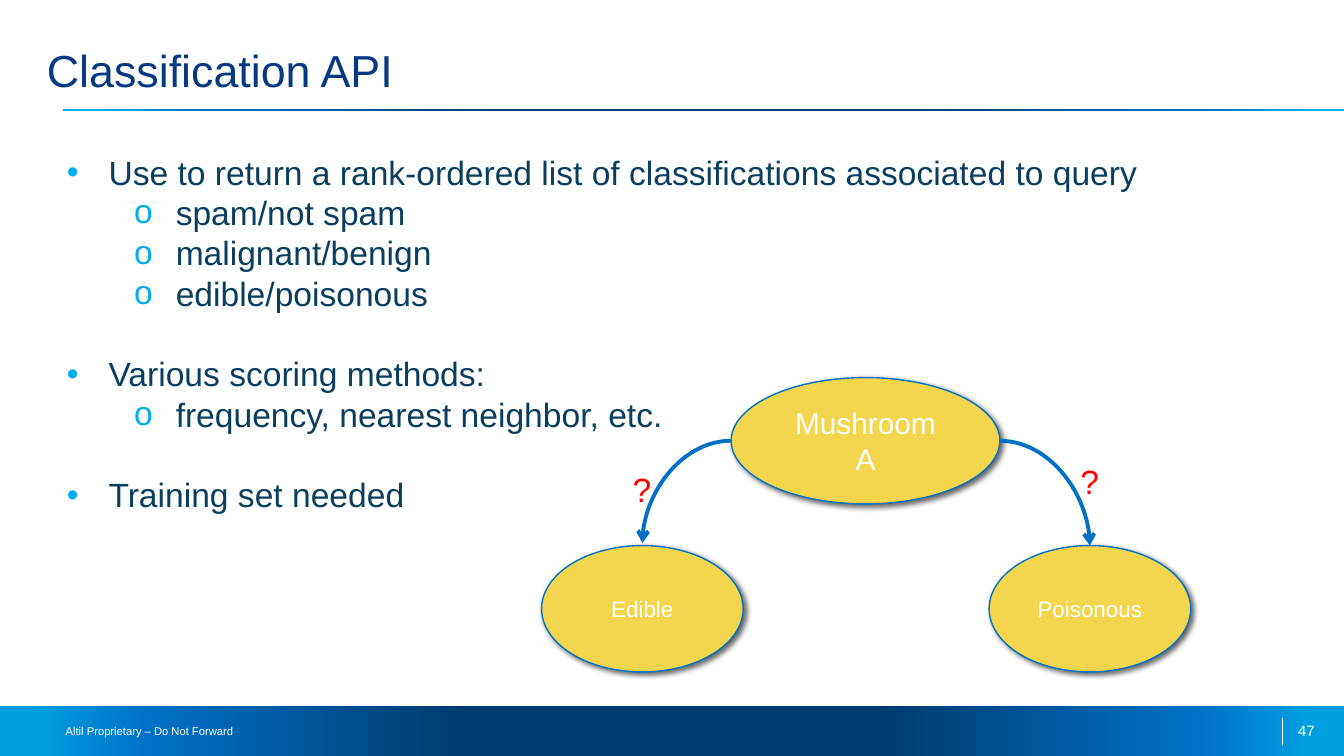
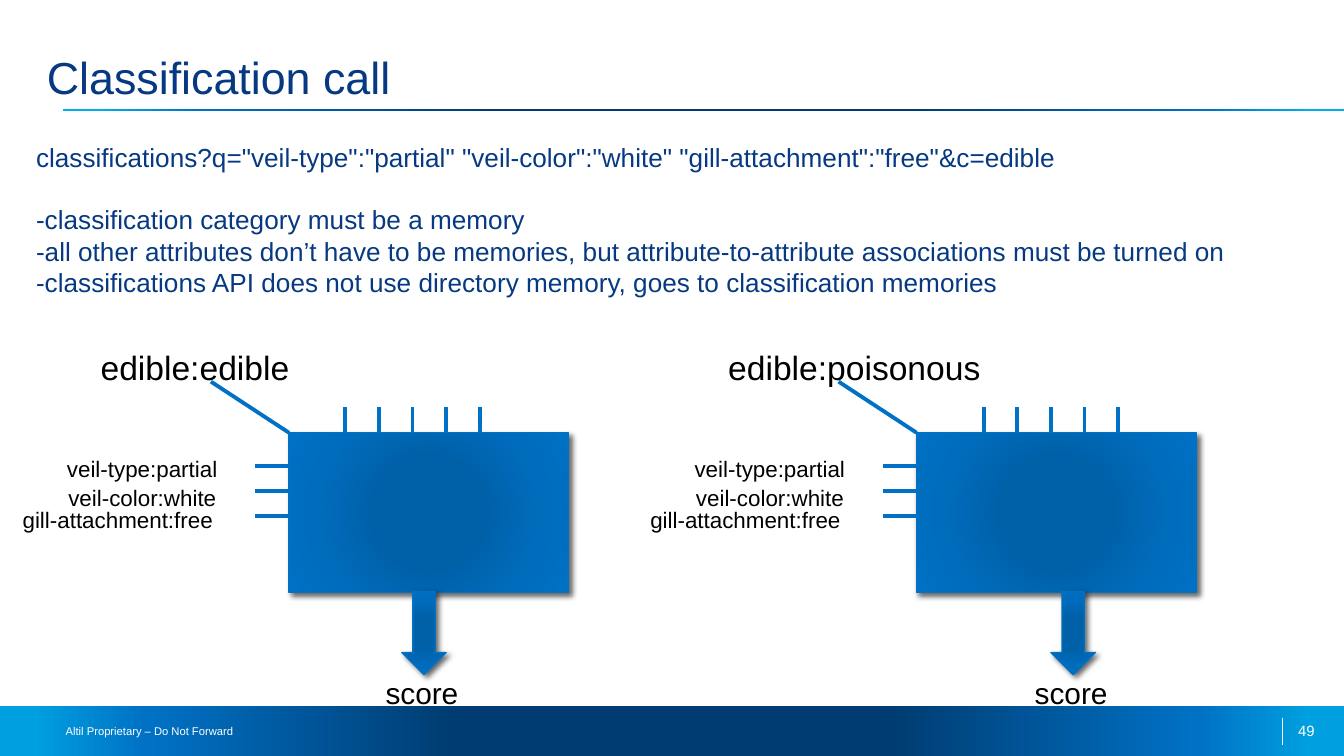
from pptx import Presentation
from pptx.dml.color import RGBColor
from pptx.enum import shapes, text
from pptx.oxml import parse_xml
from pptx.oxml.ns import nsdecls, qn
from pptx.util import Inches, Pt

WHITE = RGBColor(0xFF, 0xFF, 0xFF)
BLACK = RGBColor(0x00, 0x00, 0x00)
RED = RGBColor(0xFF, 0x00, 0x00)
NAVY = RGBColor(0x00, 0x3C, 0x71)
BLUE = RGBColor(0x00, 0x71, 0xC5)
SKY = RGBColor(0x00, 0x9F, 0xDF)
CYAN = RGBColor(0x00, 0xAE, 0xEF)
TITLE_BLUE = RGBColor(0x06, 0x39, 0x82)
BODY_BLUE = RGBColor(0x09, 0x3E, 0x5F)
YELLOW = RGBColor(0xF3, 0xD5, 0x4E)
DEEP_BLUE = RGBColor(0x00, 0x61, 0xA9)
MID_BLUE = RGBColor(0x00, 0x6C, 0xBC)

FONT = "Arial"
LINE_HEIGHT = 1.2
LINEAR = '<a:lin ang="0" scaled="0"/>'
RADIAL = '<a:path path="circle"><a:fillToRect l="50000" t="50000" r="50000" b="50000"/></a:path>'
MEMORY_STOPS = [(0, DEEP_BLUE), (34, DEEP_BLUE), (70, MID_BLUE), (100, BLUE)]


def band_stops(edge):
    """Return mirrored stops that run from the edge colour to navy and back."""
    half = [(2.5, edge), (11, BLUE), (34, NAVY)]
    return half + [(100 - place, color) for place, color in reversed(half)]


def write(frame, content, size=18, color=BLACK, align=None, first=True,
          level=0, bullet=None, gap=False):
    """Add one formatted paragraph to a text frame."""
    para = frame.paragraphs[0] if first else frame.add_paragraph()
    para.level = level
    if align is not None:
        para.alignment = align
    if gap:
        para.space_before = Pt(round(size * LINE_HEIGHT, 1))
    if bullet:
        props = para._p.get_or_add_pPr()
        props.set("marL", str(Inches(0.31 + 0.5 * level)))
        props.set("indent", str(Inches(-0.31)))
        for markup in (f'<a:buClr {nsdecls("a")}><a:srgbClr val="{CYAN}"/></a:buClr>',
                       f'<a:buFont {nsdecls("a")} typeface="{FONT}"/>',
                       f'<a:buChar {nsdecls("a")} char="{bullet}"/>'):
            props.append(parse_xml(markup))
    span = para.add_run()
    span.text = content
    span.font.name = FONT
    span.font.size = Pt(size)
    span.font.color.rgb = color


class Deck:
    """Holds the presentation, its shared style and the current slide."""

    def __init__(self):
        """Start an empty widescreen deck."""
        self.deck = Presentation()
        self.deck.slide_width = Inches(10)
        self.deck.slide_height = Inches(10) * 9 // 16
        self.page = None

    def start(self, title, number, top, height):
        """Add a slide with its footer band, title rule, title and number."""
        self.page = self.deck.slides.add_slide(self.deck.slide_layouts[6])
        self.shape("RECTANGLE", 0, 5.25, 10, 0.38, stops=band_stops(SKY))
        self.line(9.54, 5.34, 9.54, 5.54, color=WHITE, width=0.25)
        self.shape("RECTANGLE", 0.47, 0.81, 9.53, 0.02, stops=band_stops(CYAN))
        self.label("Altil Proprietary – Do Not Forward", 0.39, 5.34, 1.49, 0.2,
                   middle=True, size=6, color=WHITE)
        self.label(str(number), 9.56, 5.32, 0.34, 0.24, size=8, color=WHITE)
        self.label(title, 0.25, top, 8.17, height, wrap=True, middle=True,
                   size=24, color=TITLE_BLUE)

    def frame(self, left, top, width, height, wrap=True, middle=False):
        """Add a text box and return its text frame."""
        box = self.page.shapes.add_textbox(
            Inches(left), Inches(top), Inches(width), Inches(height))
        frame = box.text_frame
        frame.word_wrap = wrap
        frame.auto_size = text.MSO_AUTO_SIZE.SHAPE_TO_FIT_TEXT
        if middle:
            frame.vertical_anchor = text.MSO_ANCHOR.MIDDLE
        return frame

    def label(self, content, left, top, width, height, wrap=False, middle=False, **style):
        """Add a text box with a single paragraph."""
        write(self.frame(left, top, width, height, wrap, middle), content, **style)

    def shape(self, kind, left, top, width, height, fill=None, stops=None,
              ending=LINEAR, raised=False):
        """Add a filled preset shape, outlined and shadowed when raised."""
        box = self.page.shapes.add_shape(
            shapes.MSO_SHAPE[kind], Inches(left), Inches(top), Inches(width), Inches(height))
        props = box._element.spPr
        if stops:
            box.fill.background()
            marks = "".join(
                f'<a:gs pos="{int(place * 1000)}"><a:srgbClr val="{color}"/></a:gs>'
                for place, color in stops)
            props.replace(props.find(qn("a:noFill")), parse_xml(
                f'<a:gradFill {nsdecls("a")} rotWithShape="1">'
                f'<a:gsLst>{marks}</a:gsLst>{ending}</a:gradFill>'))
        else:
            box.fill.solid()
            box.fill.fore_color.rgb = fill
        box.shadow.inherit = False
        if raised:
            box.line.color.rgb = BLUE
            box.line.width = Pt(0.75)
            props.find(qn("a:effectLst")).append(parse_xml(
                f'<a:outerShdw {nsdecls("a")} blurRad="{Pt(3)}" dist="{Pt(2)}" dir="2700000">'
                f'<a:srgbClr val="{BLACK}"><a:alpha val="60000"/></a:srgbClr></a:outerShdw>'))
        else:
            box.line.fill.background()
        return box

    def oval(self, content, left, top, width, size):
        """Add a yellow oval with centred text."""
        box = self.shape("OVAL", left, top, width, 0.94, fill=YELLOW, raised=True)
        box.text_frame.word_wrap = True
        box.text_frame.vertical_anchor = text.MSO_ANCHOR.MIDDLE
        write(box.text_frame, content, size=size, color=WHITE, align=text.PP_ALIGN.CENTER)

    def line(self, x1, y1, x2, y2, color=BLUE, width=2.08, kind="STRAIGHT"):
        """Add a flat connector and return it."""
        line = self.page.shapes.add_connector(
            shapes.MSO_CONNECTOR[kind], Inches(x1), Inches(y1), Inches(x2), Inches(y2))
        line.line.color.rgb = color
        line.line.width = Pt(width)
        line._element.spPr.append(parse_xml(f'<a:effectLst {nsdecls("a")}/>'))
        return line

    def curve(self, x1, y1, x2, y2):
        """Add a quarter-turn curve that ends in an arrowhead."""
        line = self.line(x1, y1, x2, y2, kind="CURVE")
        props = line._element.spPr
        props.find(qn("a:prstGeom")).set("prst", "curvedConnector2")
        props.find(qn("a:ln")).append(parse_xml(f'<a:tailEnd {nsdecls("a")} type="arrow"/>'))

    def memory(self, category, left, label_width, first_pin, arrow_left):
        """Add a memory block with its category, inputs, pins and score."""
        top = 3.22
        self.shape("RECTANGLE", left, top, 2.08, 1.19, stops=MEMORY_STOPS,
                   ending=RADIAL, raised=True)
        self.line(left - 0.58, 2.84, left, top)
        self.label(category, left - 1.5, 2.53, label_width, 0.4)
        inputs = [("veil-type:partial", 1.75, 3.34, 1.33),
                  ("veil-color:white", 1.74, 3.55, 1.31),
                  ("gill-attachment:free", 2.08, 3.72, 1.63)]
        for index, (name, offset, label_top, width) in enumerate(inputs):
            self.label(name, left - offset, label_top, width, 0.3, size=12)
            y = 3.47 + 0.185 * index
            self.line(left - 0.25, y, left, y)
        for index in range(5):
            x = first_pin + 0.25 * index
            self.line(x, top, x, top - 0.19)
        self.shape("DOWN_ARROW", arrow_left, 4.4, 0.33, 0.62, stops=MEMORY_STOPS,
                   ending=RADIAL, raised=True)
        self.label("score", arrow_left - 0.22, 4.97, 0.75, 0.37, size=16)


def classification_api(deck):
    """Build the slide on ranking and scoring classifications."""
    deck.start("Classification API", 47, 0.24, 0.56)
    topics = [
        ("Use to return a rank-ordered list of classifications associated to query",
         ["spam/not spam", "malignant/benign", "edible/poisonous"]),
        ("Various scoring methods:", ["frequency, nearest neighbor, etc."]),
        ("Training set needed", []),
    ]
    body = deck.frame(0.4, 1.08, 9.33, 3.43)
    for index, (topic, details) in enumerate(topics):
        write(body, topic, color=BODY_BLUE, bullet="•", first=index == 0, gap=index > 0)
        for detail in details:
            write(body, detail, color=BODY_BLUE, bullet="o", level=1, first=False)
    deck.oval("Mushroom A", 5.44, 2.81, 2, 16)
    deck.oval("Edible", 4.03, 4.06, 1.5, 12)
    deck.oval("Poisonous", 7.36, 4.06, 1.5, 12)
    deck.curve(5.44, 3.28, 4.78, 4.04)
    deck.curve(7.44, 3.28, 8.11, 4.06)
    for left, top in [(4.61, 3.44), (7.94, 3.38)]:
        deck.label("?", left, top, 0.34, 0.4, color=RED)


def classification_call(deck):
    """Build the slide on a sample call and its two memories."""
    deck.start("Classification call", 49, 0.32, 0.5)
    lines = [
        'classifications?q="veil-type":"partial" "veil-color":"white" '
        '"gill-attachment":"free"&c=edible',
        "-classification category must be a memory",
        "-all other attributes don’t have to be memories, "
        "but attribute-to-attribute associations must be turned on",
        "-classifications API does not use directory memory, goes to classification memories",
    ]
    body = deck.frame(0.17, 1, 9.83, 1.28)
    for index, content in enumerate(lines):
        write(body, content, size=14, color=TITLE_BLUE, first=index == 0, gap=index == 1)
    deck.memory("edible:edible", 2.15, 1.62, 2.57, 2.99)
    deck.memory("edible:poisonous", 6.82, 2.1, 7.32, 7.82)


def main():
    """Build both slides and save the deck."""
    deck = Deck()
    classification_api(deck)
    classification_call(deck)
    deck.deck.save("out.pptx")


if __name__ == "__main__":
    main()
